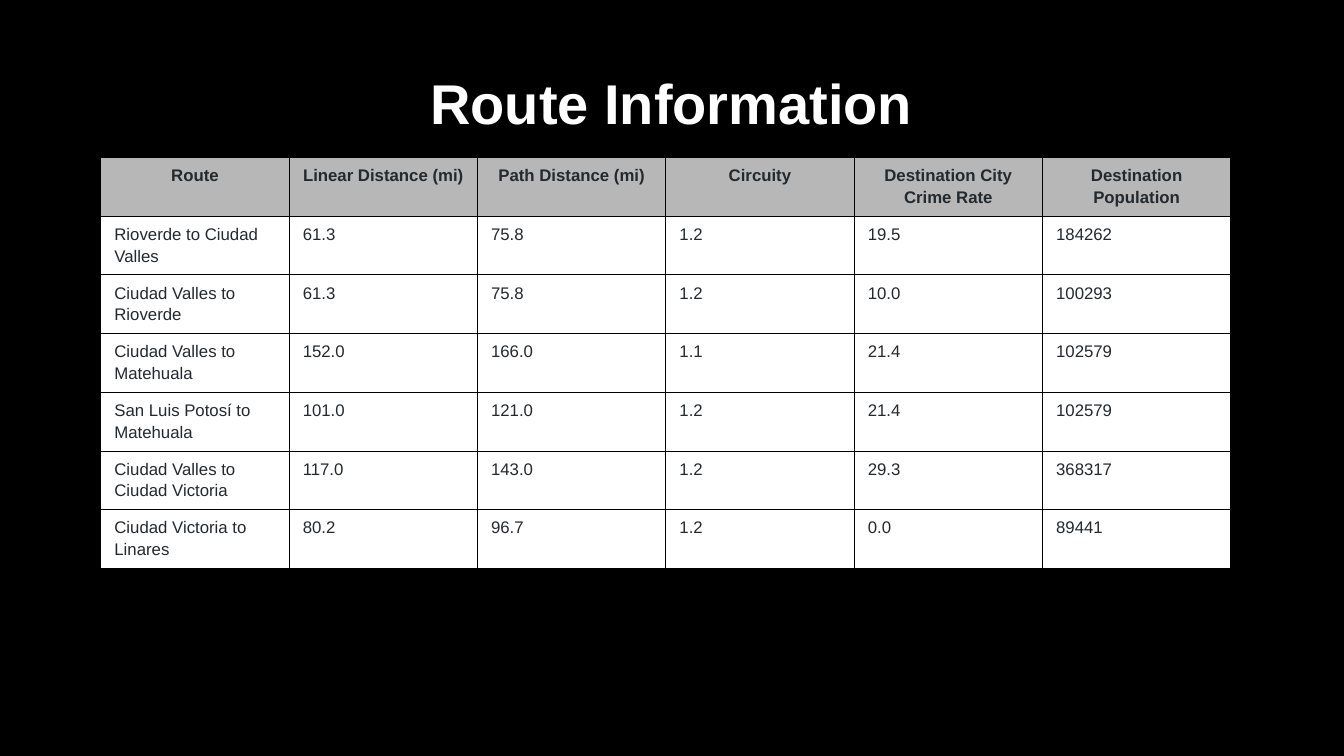
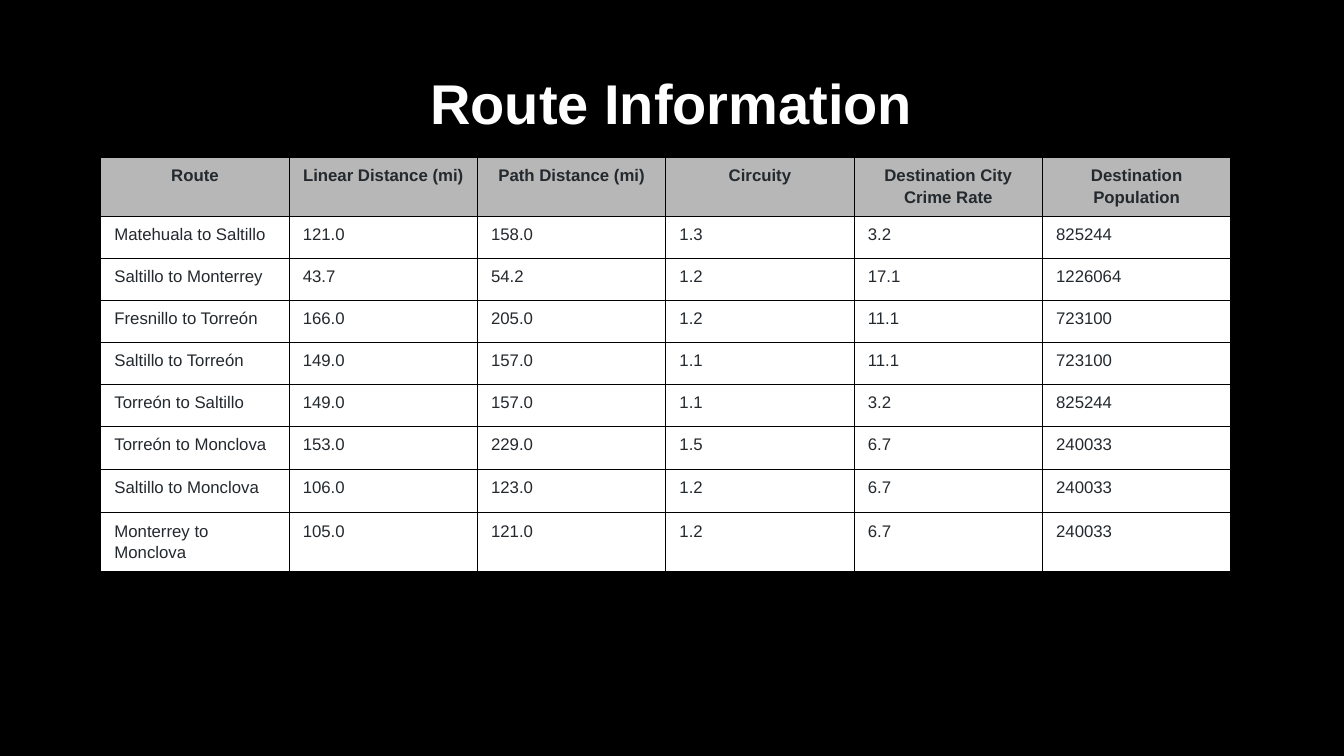
from lxml import etree
from pptx import Presentation
from pptx.dml.color import RGBColor
from pptx.enum.text import MSO_ANCHOR, PP_ALIGN
from pptx.oxml.ns import qn
from pptx.util import Pt

CENTER = PP_ALIGN.CENTER
LEFT = PP_ALIGN.LEFT
MIDDLE = MSO_ANCHOR.MIDDLE

TITLE = "Route Information"
HEADERS = [
    "Route", "Linear Distance (mi)", "Path Distance (mi)", "Circuity",
    "Destination City Crime Rate", "Destination Population",
]
ROUTE_PAGES = [
    [
        ("Rioverde to Ciudad Valles", "61.3", "75.8", "1.2", "19.5", "184262"),
        ("Ciudad Valles to Rioverde", "61.3", "75.8", "1.2", "10.0", "100293"),
        ("Ciudad Valles to Matehuala", "152.0", "166.0", "1.1", "21.4", "102579"),
        ("San Luis Potosí to Matehuala", "101.0", "121.0", "1.2", "21.4", "102579"),
        ("Ciudad Valles to Ciudad Victoria", "117.0", "143.0", "1.2", "29.3", "368317"),
        ("Ciudad Victoria to Linares", "80.2", "96.7", "1.2", "0.0", "89441"),
    ],
    [
        ("Matehuala to Saltillo", "121.0", "158.0", "1.3", "3.2", "825244"),
        ("Saltillo to Monterrey", "43.7", "54.2", "1.2", "17.1", "1226064"),
        ("Fresnillo to Torreón", "166.0", "205.0", "1.2", "11.1", "723100"),
        ("Saltillo to Torreón", "149.0", "157.0", "1.1", "11.1", "723100"),
        ("Torreón to Saltillo", "149.0", "157.0", "1.1", "3.2", "825244"),
        ("Torreón to Monclova", "153.0", "229.0", "1.5", "6.7", "240033"),
        ("Saltillo to Monclova", "106.0", "123.0", "1.2", "6.7", "240033"),
        ("Monterrey to Monclova", "105.0", "121.0", "1.2", "6.7", "240033"),
    ],
]

COLORS = {
    "background": "000000",
    "title": "FFFFFF",
    "header": "B7B7B7",
    "body": "FFFFFF",
    "text": "24292E",
    "border": "000000",
}
FONT = "Arial"
TITLE_BOX = (Pt(72), Pt(24), Pt(815), Pt(104))
TABLE_LEFT, TABLE_TOP, TABLE_WIDTH = 72, 112.5, 807.3
ROW_HEIGHT, LATE_ROW_HEIGHT, FIRST_LATE_ROW = 30, 31, 6
CELL_MARGIN_X, CELL_MARGIN_Y = Pt(9.75), Pt(4.4)
BORDER_WIDTH = Pt(0.75)


def color(name):
    return RGBColor.from_string(COLORS[name])


def write(paragraph, text, size, color_name, bold, alignment, line_spacing):
    paragraph.alignment = alignment
    paragraph.line_spacing = line_spacing
    run = paragraph.add_run()
    run.text = text
    run.font.name = FONT
    run.font.size = Pt(size)
    run.font.bold = bold
    run.font.color.rgb = color(color_name)


def add_title(slide):
    frame = slide.shapes.add_textbox(*TITLE_BOX).text_frame
    frame.word_wrap = True
    frame.vertical_anchor = MIDDLE
    write(frame.paragraphs[0], TITLE, 40, "title", True, CENTER, 0.9)


def add_borders(cell):
    properties = cell._tc.get_or_add_tcPr()
    for index, side in enumerate(("a:lnL", "a:lnR", "a:lnT", "a:lnB")):
        line = etree.Element(qn(side), w=str(BORDER_WIDTH))
        fill = etree.SubElement(line, qn("a:solidFill"))
        etree.SubElement(fill, qn("a:srgbClr"), val=COLORS["border"])
        properties.insert(index, line)


def fill_cell(cell, text, is_header):
    cell.fill.solid()
    cell.fill.fore_color.rgb = color("header" if is_header else "body")
    cell.margin_left = cell.margin_right = CELL_MARGIN_X
    cell.margin_top = cell.margin_bottom = CELL_MARGIN_Y
    paragraph = cell.text_frame.paragraphs[0]
    paragraph.space_after = Pt(12)
    write(paragraph, text, 12, "text", is_header, CENTER if is_header else LEFT, 1.15)
    add_borders(cell)


def add_route_table(slide, routes):
    rows = [HEADERS, *routes]
    heights = [
        ROW_HEIGHT if index < FIRST_LATE_ROW else LATE_ROW_HEIGHT
        for index in range(len(rows))
    ]
    table = slide.shapes.add_table(
        len(rows), len(HEADERS),
        Pt(TABLE_LEFT), Pt(TABLE_TOP), Pt(TABLE_WIDTH), Pt(sum(heights)),
    ).table
    table.horz_banding = False
    for column in table.columns:
        column.width = Pt(TABLE_WIDTH / len(HEADERS))
    for row_index, (values, height) in enumerate(zip(rows, heights)):
        table.rows[row_index].height = Pt(height)
        for column_index, text in enumerate(values):
            fill_cell(table.cell(row_index, column_index), text, row_index == 0)


def main():
    presentation = Presentation()
    presentation.slide_width = Pt(960)
    presentation.slide_height = Pt(540)
    background = presentation.slide_master.background.fill
    background.solid()
    background.fore_color.rgb = color("background")
    for routes in ROUTE_PAGES:
        slide = presentation.slides.add_slide(presentation.slide_layouts[6])
        add_title(slide)
        add_route_table(slide, routes)
    presentation.save("out.pptx")


if __name__ == "__main__":
    main()
